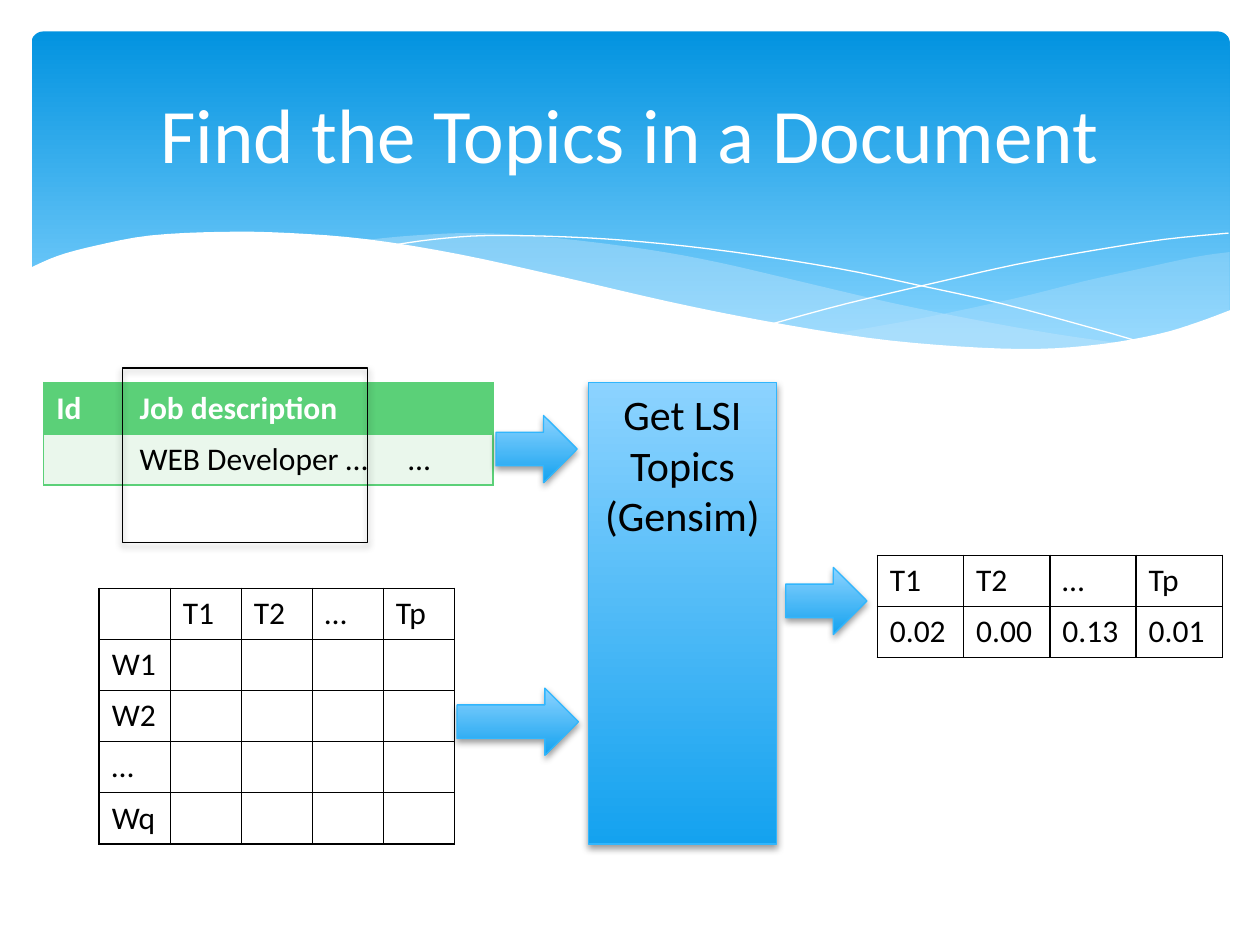
from lxml.etree import SubElement
from pptx import Presentation
from pptx.dml.color import RGBColor
from pptx.enum.shapes import MSO_SHAPE as Preset
from pptx.enum.text import MSO_ANCHOR as Anchor, PP_ALIGN as Align
from pptx.oxml.ns import qn
from pptx.util import Pt

COLORS = {
    "white": "FFFFFF", "black": "000000", "mist": "C6E7FC",
    "banner_top": "0293E0", "banner_low": "83D3FE",
    "box_top": "8CD3FF", "box_low": "14A2EF", "box_line": "31B6FD",
    "green": "5BD078", "pale_green": "EAF7EC",
}

WAVE = [(16.6, 153.4), (33.1, 146.2), (54.7, 140.4), (85.7, 134.6), (127.4, 132.5), (165.6, 133.2),
        (210.2, 136.8), (262.8, 145.4), (321.8, 158.4), (380.9, 172.1), (434.2, 182.9), (495.4, 193),
        (547.9, 198), (592.6, 199.4), (630, 196.6), (662.4, 190.8), (684, 184.3), (703.4, 177.1)]
WAVE_BASE = [(703.4, 236.9), (16.6, 236.9)]
RIGHT_TOP = [(702.7, 144), (682.6, 146.9), (652.3, 153.4), (619.9, 160.6), (579.6, 170.6),
             (524.9, 182.2), (475.9, 190.8)]
RIGHT_LOW = [(475.9, 190.8), (507.6, 195.1), (545, 198.7), (578.2, 200.2), (614.9, 198.7),
             (645.8, 194.4), (673.2, 188.6), (702.7, 177.8)]
MIDDLE_TOP = [(643, 196.6), (602.6, 190.8), (558, 182.9), (508.3, 172.8), (452.9, 159.8),
              (409.7, 149.8), (370.1, 142.6), (318.2, 136.1), (273.6, 133.2), (236.2, 134.6),
              (205.9, 137.5)]
MIDDLE_LOW = [(205.9, 137.5), (246.2, 143.3), (290.9, 151.9), (323.3, 159.8), (381.6, 172.8),
              (432.7, 183.6), (478.8, 191.5), (519.8, 197.3), (556.6, 199.4), (589, 200.2),
              (617, 199.4), (643, 196.6)]
FALLING_LINE = [(222.5, 140.4), (247.7, 136.8), (278.6, 134.6), (324, 135.4), (367.2, 138.2),
                (419, 144), (478.8, 153.4), (523.4, 162.7), (572.4, 173.5), (625.7, 187.9),
                (653, 195.8)]
RISING_LINE = [(441.4, 185), (483.8, 173.5), (538.6, 160.6), (580.3, 151.2), (623.5, 143.3),
               (665.3, 136.8), (702, 133.2)]


def rgb(name):
    return RGBColor.from_string(COLORS[name])


def smooth(points, steps=4):
    padded = [points[0], *points, points[-1]]
    curve = []
    for before, start, end, after in zip(padded, padded[1:], padded[2:], padded[3:]):
        for step in range(steps):
            t = step / steps
            curve.append(tuple(
                (2 * b + (c - a) * t + (2 * a - 5 * b + 4 * c - d) * t ** 2
                 + (3 * b - a - 3 * c + d) * t ** 3) / 2
                for a, b, c, d in zip(before, start, end, after)))
    return curve + [points[-1]]


class SlideBuilder:
    font = "Calibri"

    def __init__(self, page):
        self.page = page

    def style(self, para, size, color="black", bold=False, align=None):
        para.font.name, para.font.size, para.font.bold = self.font, Pt(size), bold
        para.font.color.rgb = rgb(color)
        para.alignment = align

    def gradient(self, shape, top, low, end=1):
        shape.fill.gradient()
        shape.fill.gradient_angle = 270
        for stop, color, position in zip(shape.fill.gradient_stops, (top, low), (0, end)):
            stop.color.rgb, stop.position = rgb(color), position

    def title(self, text, place):
        title = self.page.shapes.title
        self.page.shapes._spTree.append(title._element)
        title.left, title.top, title.width, title.height = map(Pt, place)
        title.text_frame.text = text
        title.text_frame.vertical_anchor = Anchor.MIDDLE
        self.style(title.text_frame.paragraphs[0], 44, "white", align=Align.CENTER)

    def banner(self, place):
        banner = self.page.shapes.add_shape(Preset.ROUNDED_RECTANGLE, *map(Pt, place))
        banner.adjustments[0] = 0.034
        banner.shadow.inherit = False
        banner.line.fill.background()
        self.gradient(banner, "banner_top", "banner_low", 0.9)

    def outline(self, points, color, opacity=None, closed=True):
        start, *rest = [(Pt(x), Pt(y)) for x, y in points]
        builder = self.page.shapes.build_freeform(*start)
        builder.add_line_segments(rest, close=closed)
        shape = builder.convert_to_shape()
        shape.shadow.inherit = False
        if not closed:
            shape.fill.background()
            shape.line.color.rgb, shape.line.width = rgb(color), Pt(0)
            return
        shape.line.fill.background()
        shape.fill.solid()
        shape.fill.fore_color.rgb = rgb(color)
        if opacity:
            swatch = next(shape._element.spPr.iter(qn("a:srgbClr")))
            SubElement(swatch, qn("a:alpha"), val=str(opacity * 1000))

    def box(self, preset, place, filled=True, lines=()):
        box = self.page.shapes.add_shape(preset, *map(Pt, place))
        if filled:
            self.gradient(box, "box_top", "box_low")
        else:
            box.fill.background()
        box.line.color.rgb = rgb("box_line" if filled else "black")
        box.line.width = Pt(0.75)
        self.shadow(box)
        if lines:
            frame = box.text_frame
            frame.word_wrap, frame.vertical_anchor = True, Anchor.TOP
            frame.text = "\n".join(lines)
            for para in frame.paragraphs:
                self.style(para, 24, align=Align.CENTER)

    def shadow(self, shape):
        shape.shadow.inherit = False
        effects = shape._element.spPr.find(qn("a:effectLst"))
        outer = SubElement(effects, qn("a:outerShdw"), blurRad=str(Pt(4)), dist=str(Pt(2)),
                           dir="5400000", rotWithShape="0")
        color = SubElement(outer, qn("a:srgbClr"), val=COLORS["black"])
        SubElement(color, qn("a:alpha"), val="38000")

    def border(self, cell, side, color):
        line = SubElement(cell._tc.get_or_add_tcPr(), qn(f"a:ln{side}"), w=str(Pt(1)))
        if color:
            fill = SubElement(line, qn("a:solidFill"))
            SubElement(fill, qn("a:srgbClr"), val=COLORS[color])
        else:
            SubElement(line, qn("a:noFill"))

    def table(self, left, top, widths, rows, green=False):
        height = 29.2
        table = self.page.shapes.add_table(len(rows), len(widths), Pt(left), Pt(top),
                                           Pt(sum(widths)), Pt(height * len(rows))).table
        table.first_row = table.horz_banding = False
        for column, width in zip(table.columns, widths):
            column.width = Pt(width)
        for r, texts in enumerate(rows):
            table.rows[r].height = Pt(height)
            for c, text in enumerate(texts):
                cell = table.cell(r, c)
                cell.text = text
                header = green and r == 0
                self.style(cell.text_frame.paragraphs[0], 18, "white" if header else "black", header)
                hidden = {"L": green and c > 0, "R": green and c < len(widths) - 1}
                for side in "LRTB":
                    color = "green" if green else "black"
                    self.border(cell, side, None if hidden.get(side) else color)
                if green:
                    cell.fill.solid()
                    cell.fill.fore_color.rgb = rgb("green" if header else "pale_green")
                else:
                    cell.fill.background()


def main():
    deck = Presentation()
    deck.slide_width, deck.slide_height = Pt(720), Pt(540)
    slide = SlideBuilder(deck.slides.add_slide(deck.slide_layouts[5]))

    slide.banner((18, 18, 684.7, 194.4))
    slide.outline(smooth(RIGHT_TOP) + smooth(RIGHT_LOW), "mist", 29)
    slide.outline(smooth(MIDDLE_TOP) + smooth(MIDDLE_LOW), "mist", 40)
    for line in (FALLING_LINE, RISING_LINE):
        slide.outline(smooth(line), "white", closed=False)
    slide.outline(smooth(WAVE) + WAVE_BASE, "white")
    slide.title("Find the Topics in a Document", (36, 26.6, 648, 98.6))

    topics = ["T1", "T2", "…", "Tp"]
    words = ["W1", "W2", "…", "Wq"]
    slide.table(56.7, 336.2, [40.6] * 5, [["", *topics]] + [[word] + [""] * 4 for word in words])
    slide.table(25, 218.7, [47.6, 153.6, 55.6],
                [["Id", "Job description", ""], ["", "WEB Developer …", "…"]], green=True)
    slide.box(Preset.RECTANGLE, (70, 210.4, 140, 99.6), filled=False)
    slide.box(Preset.FLOWCHART_PROCESS, (336.3, 218.7, 107.4, 263.6),
              lines=("Get LSI Topics", "(Gensim)"))
    slide.table(501.3, 317.4, [49.3] * 4, [topics, ["0.02", "0.00", "0.13", "0.01"]])
    for left, top, width in ((283.4, 237.4, 46.4), (261.2, 393.2, 69.4), (449, 324.2, 46.4)):
        slide.box(Preset.RIGHT_ARROW, (left, top, width, 38.4))

    deck.save("out.pptx")


if __name__ == "__main__":
    main()
